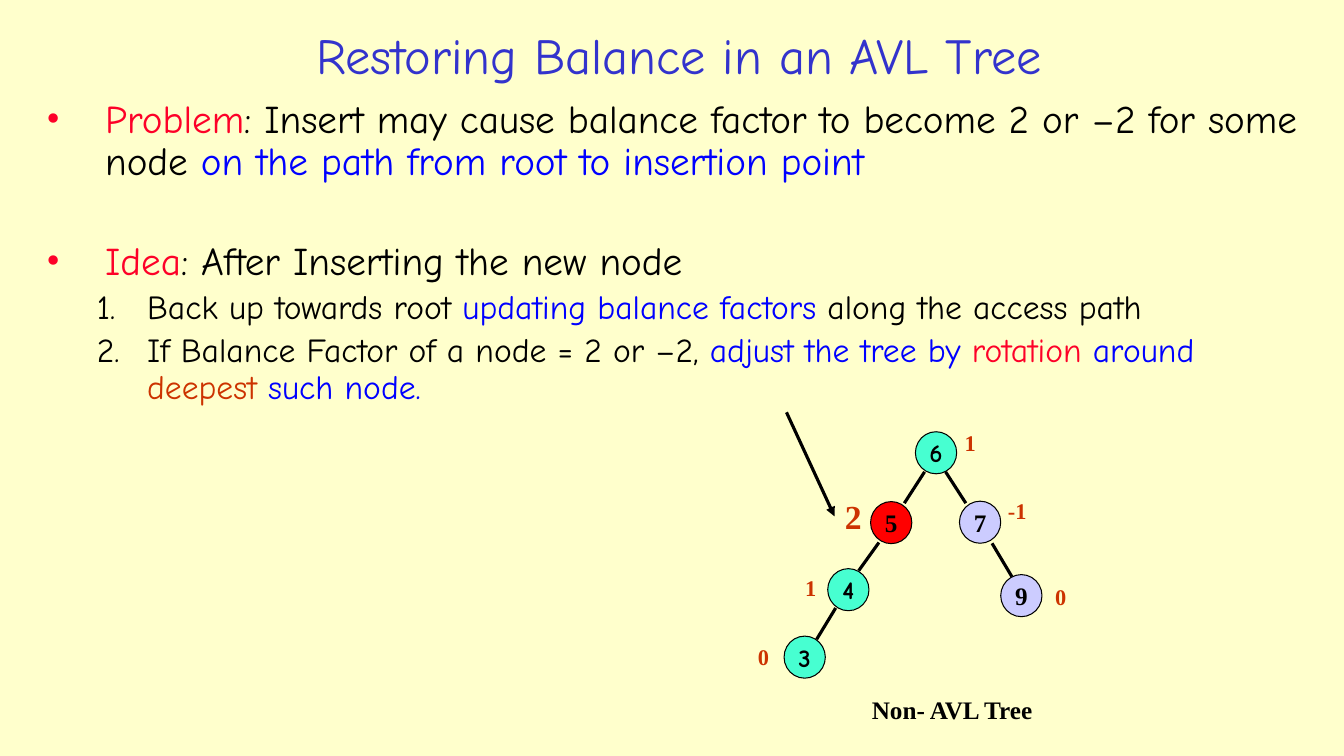
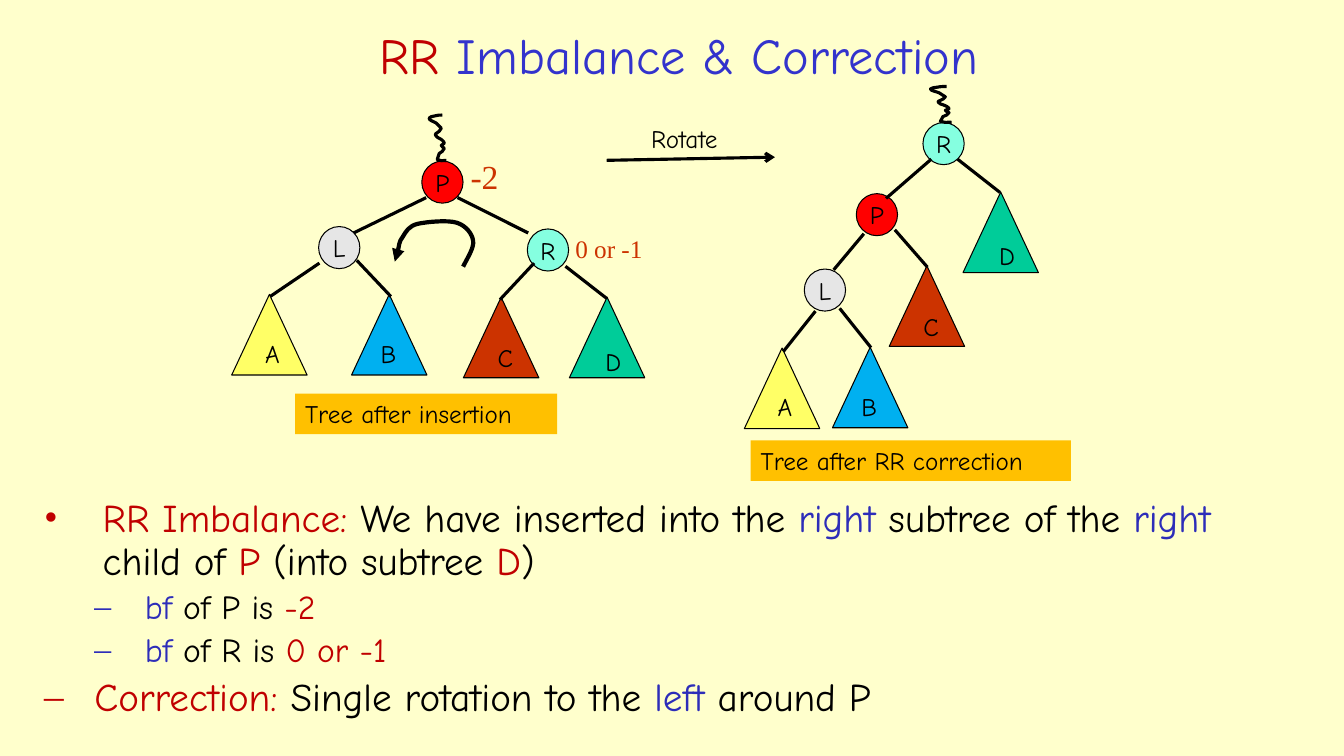
from lxml.etree import SubElement
from pptx import Presentation
from pptx.dml.color import RGBColor
from pptx.enum.shapes import MSO_CONNECTOR, MSO_SHAPE
from pptx.enum.text import MSO_ANCHOR, PP_ALIGN
from pptx.oxml.ns import qn
from pptx.util import Cm, Pt

HAND, SERIF = "Comic Neue", "Times New Roman"
CREAM, BLACK, TITLE_BLUE, AMBER = "FFFFCC", "000000", "3333CC", "FFC000"
RED, BLUE, RUST = "FD0128", "0000FF", "CC3300"
DARK_RED, DARK_BLUE = "C00000", "2D2DB9"
MINT, LILAC, ALERT = "47FFD1", "CCCCFF", "FF0000"

NODE_WIDTH, NODE_HEIGHT = 1.04, 1.06
SUBTREE_WIDTH, SUBTREE_HEIGHT = 1.9, 2.03
ROTATION_FILLS = {"P": ALERT, "L": "E6E6E6", "R": "85FFE0"}
SUBTREES = {
    "A": ("FFFF66", -0.36, 0.97),
    "B": ("00B0F0", -0.47, 0.99),
    "C": (RUST, -0.34, 1.02),
    "D": ("00CC99", -0.29, 1.1),
}
SQUIGGLE = [
    (14, 0), (12, 0), (9, 0), (6, 1), (4, 1), (2, 2), (1, 3),
    (0, 5), (7, 7), (8, 8), (11, 10), (11, 11), (13, 13),
    (12, 14), (12, 15), (11, 16), (8, 19), (5, 18), (9, 22),
    (11, 23), (13, 24), (14, 25), (15, 26), (16, 27), (16, 28),
    (16, 29), (13, 29), (13, 30), (13, 31), (15, 32), (16, 33),
    (15, 34), (15, 35), (14, 36), (13, 37), (12, 37), (11, 38),
    (10, 40), (10, 42), (9, 44), (15, 46), (12, 45), (18, 45),
]
ROTATION_ARC = [
    (68, 47), (73, 37), (79, 28), (78, 21), (77, 14), (71, 6), (62, 3),
    (53, 0), (32, 2), (23, 4), (14, 6), (11, 12), (8, 17),
    (4, 22), (4, 30), (2, 35), (1, 39), (0, 40), (0, 42),
]


def colour(code):
    return RGBColor.from_string(code)


def style_span(span, size, code, font=HAND, bold=False):
    span.font.size = Pt(size)
    span.font.name = font
    span.font.bold = bold
    span.font.color.rgb = colour(code)


def add_spans(para, parts, size):
    for text, code in parts:
        span = para.add_run()
        span.text = text
        style_span(span, size, code)


def add_box(page, left, top, width, height):
    box = page.shapes.add_textbox(Cm(left), Cm(top), Cm(width), Cm(height))
    box.text_frame.word_wrap = True
    return box


def add_label(page, left, top, text, size=18, code=BLACK, font=HAND,
              bold=False, width=None, fill=None):
    width = width or 0.7 + 0.02 * size * len(text)
    box = add_box(page, left, top, width, 1.02)
    if fill:
        box.fill.solid()
        box.fill.fore_color.rgb = colour(fill)
    box.text_frame.text = text
    style_span(box.text_frame.paragraphs[0].runs[0], size, code, font, bold)


def style_stroke(shape, width, arrow=None):
    shape.line.color.rgb = colour(BLACK)
    shape.line.width = Pt(width)
    if arrow:
        outline = shape.element.spPr.find(qn("a:ln"))
        SubElement(outline, qn("a:tailEnd"), type=arrow)


def add_line(page, left, top, start_x, start_y, end_x, end_y, arrow=None):
    line = page.shapes.add_connector(
        MSO_CONNECTOR.STRAIGHT, Cm(left + start_x), Cm(top + start_y),
        Cm(left + end_x), Cm(top + end_y))
    style_stroke(line, 2.25, arrow)
    SubElement(line.element.spPr, qn("a:effectLst"))


def add_filled(page, kind, left, top, width, height, fill):
    shape = page.shapes.add_shape(kind, Cm(left), Cm(top), Cm(width), Cm(height))
    shape.shadow.inherit = False
    shape.fill.solid()
    shape.fill.fore_color.rgb = colour(fill)
    style_stroke(shape, 0.75)
    return shape


def add_node(page, x, y, text, fill, font=HAND, bold=False):
    node = add_filled(page, MSO_SHAPE.OVAL, x - NODE_WIDTH / 2,
                      y - NODE_HEIGHT / 2, NODE_WIDTH, NODE_HEIGHT, fill)
    frame = node.text_frame
    frame.word_wrap = False
    frame.vertical_anchor = MSO_ANCHOR.MIDDLE
    frame.margin_left = frame.margin_right = 0
    frame.margin_top = frame.margin_bottom = 0
    frame.text = text
    frame.paragraphs[0].alignment = PP_ALIGN.CENTER
    style_span(frame.paragraphs[0].runs[0], 18, BLACK, font, bold)


def add_subtree(page, x, y, name):
    fill, label_left, label_top = SUBTREES[name]
    add_filled(page, MSO_SHAPE.ISOSCELES_TRIANGLE, x - SUBTREE_WIDTH / 2, y,
               SUBTREE_WIDTH, SUBTREE_HEIGHT, fill)
    add_label(page, x + label_left, y + label_top, name)


def add_curve(page, knots, left, top, width, height, stroke, arrow=None):
    wide = max(x for x, y in knots)
    high = max(y for x, y in knots)
    points = [(Cm(left + x * width / wide), Cm(top + y * height / high))
              for x, y in knots]
    builder = page.shapes.build_freeform(*points[0])
    builder.add_line_segments(points[1:], close=False)
    curve = builder.convert_to_shape()
    outline = next(curve.element.iter(qn("a:path")))
    segments = outline.findall(qn("a:lnTo"))
    for index in range(0, len(segments), 3):
        bend = SubElement(outline, qn("a:cubicBezTo"))
        for segment in segments[index:index + 3]:
            bend.append(segment[0])
            outline.remove(segment)
    curve.shadow.inherit = False
    curve.fill.background()
    style_stroke(curve, stroke, arrow)


def add_title(page, parts):
    frame = add_box(page, 5, 0.4, 24.23, 1.93).text_frame
    frame.vertical_anchor = MSO_ANCHOR.MIDDLE
    frame.paragraphs[0].alignment = PP_ALIGN.CENTER
    add_spans(frame.paragraphs[0], parts, 36)


def add_outline(page, left, top, width, height, items):
    frame = add_box(page, left, top, width, height).text_frame
    for index, (level, indent, hang, bullet, gap, parts) in enumerate(items):
        para = frame.add_paragraph() if index else frame.paragraphs[0]
        size = 24 if level else 28
        para.level = level
        para.line_spacing = 0.9
        para.space_before = Pt(gap or size * 0.2)
        add_spans(para, parts, size)
        properties = para._p.get_or_add_pPr()
        properties.set("marL", str(Cm(indent)))
        properties.set("indent", str(-Cm(hang)))
        tint = SubElement(properties, qn("a:buClr"))
        SubElement(tint, qn("a:srgbClr"), val=parts[0][1])
        if bullet == "1.":
            SubElement(properties, qn("a:buAutoNum"), type="arabicPeriod")
        else:
            SubElement(properties, qn("a:buFont"), typeface=SERIF)
            SubElement(properties, qn("a:buChar"), char=bullet)


def point_item(parts, gap=None):
    return 0, 1.48, 1.48, "•", gap, parts


def sub_item(bullet, parts):
    return 1, 2.54, 1.27, bullet, None, parts


def unbalanced_tree(page, left, top):
    nodes = {
        "6": (4.74, 1.02, MINT, HAND, "1", 5.21, 0.3, 16),
        "5": (3.61, 2.78, ALERT, SERIF, "2", 2.19, 1.98, 24),
        "4": (2.53, 4.47, MINT, HAND, "1", 1.19, 3.96, 16),
        "7": (5.85, 2.77, LILAC, SERIF, "-1", 6.3, 2.01, 16),
        "9": (6.89, 4.62, LILAC, SERIF, "0", 7.49, 4.17, 16),
        "3": (1.43, 6.17, MINT, HAND, "0", 0, 5.69, 16),
    }
    edges = [
        (4.45, 1.5, 3.94, 2.29), (4.98, 1.5, 5.49, 2.29), (6.15, 3.3, 6.65, 4.14),
        (3.3, 3.28, 2.79, 3.99), (2.21, 4.93, 1.73, 5.72),
    ]
    for name, (x, y, fill, font, factor, label_x, label_y, size) in nodes.items():
        add_node(page, left + x, top + y, name, fill, font, True)
        add_label(page, left + label_x, top + label_y, factor, size, RUST, SERIF, True)
    for edge in edges:
        add_line(page, left, top, *edge)
    add_line(page, left, top, 0.97, 0, 2.18, 2.62, "triangle")
    add_label(page, left + 2.87, top + 6.99, "Non- AVL Tree", font=SERIF,
              bold=True, width=4.95)


def rotation_tree(page, left, top, places, edges, squiggle, caption):
    for name, (x, y) in places.items():
        if name in SUBTREES:
            add_subtree(page, left + x, top + y, name)
        else:
            add_node(page, left + x, top + y, name, ROTATION_FILLS[name])
    for edge in edges:
        add_line(page, left, top, *edge)
    x, width, height = squiggle
    add_curve(page, SQUIGGLE, left + x, top, width, height, 2.25)
    text, x, y, width = caption
    add_label(page, left + x, top + y, text, width=width, fill=AMBER)


def tree_after_insertion(page, left, top):
    places = {"P": (5.31, 1.69), "L": (2.71, 3.34), "R": (7.97, 3.4),
              "A": (0.95, 4.52), "B": (3.97, 4.52), "C": (6.79, 4.59), "D": (9.46, 4.59)}
    edges = [
        (4.9, 2.08, 3.07, 2.97), (5.69, 2.08, 7.47, 2.97), (8.41, 3.81, 9.45, 4.62),
        (2.21, 3.73, 0.97, 4.57), (3.15, 3.66, 4.01, 4.57), (7.62, 3.73, 6.76, 4.65),
    ]
    rotation_tree(page, left, top, places, edges, (4.95, 0.46, 1.17),
                  ("Tree after insertion", 1.6, 7.02, 6.6))
    add_label(page, left + 5.77, top + 0.91, "-2", 24, RUST, SERIF)
    add_label(page, left + 8.41, top + 2.86, "0 or -1", 18, RUST, SERIF)
    add_curve(page, ROTATION_ARC, left + 4.11, top + 2.64, 2, 1.18, 3, "triangle")


def tree_after_correction(page, left, top):
    places = {"R": (5.01, 1.44), "P": (3.33, 3.23), "L": (2.02, 5.13),
              "D": (6.45, 2.66), "C": (4.59, 4.52), "A": (0.94, 6.59), "B": (3.16, 6.57)}
    edges = [
        (4.7, 1.83, 3.56, 2.82), (5.36, 1.83, 6.43, 2.67), (3, 3.71, 2.24, 4.62),
        (3.78, 3.61, 4.6, 4.55), (1.78, 5.66, 0.97, 6.68), (2.39, 5.59, 3.18, 6.58),
    ]
    rotation_tree(page, left, top, places, edges, (4.65, 0.56, 0.92),
                  ("Tree after RR correction", 0.15, 8.92, 8.07))


def rotate_arrow(page, left, top):
    add_line(page, left, top, 0, 1.07, 4.24, 0.99, "arrow")
    add_label(page, left + 0.87, top + 0.02, "Rotate")


def restoring_page(page):
    add_title(page, [("Restoring Balance in an AVL Tree", TITLE_BLUE)])
    add_outline(page, 0.92, 2.38, 32.08, 8.51, [
        point_item([
            ("Problem", RED),
            (": Insert may cause balance factor to become 2 or –2 for some node ", BLACK),
            ("on the path from root to insertion point", BLUE)]),
        point_item([("Idea", RED), (": After Inserting the new node", BLACK)], 41.2),
        sub_item("1.", [
            ("Back up towards root ", BLACK), ("updating balance factors ", BLUE),
            ("along the access path", BLACK)]),
        sub_item("1.", [
            ("If Balance Factor of a node = 2 or –2, ", BLACK),
            ("adjust the tree by ", BLUE), ("rotation ", RED), ("around ", BLUE),
            ("deepest", RUST), (" such node.", BLUE)]),
    ])
    unbalanced_tree(page, 18.85, 10.39)


def rotation_page(page):
    add_title(page, [("RR", DARK_RED), (" Imbalance & Correction", TITLE_BLUE)])
    tree_after_insertion(page, 5.84, 2.9)
    rotate_arrow(page, 15.29, 2.97)
    tree_after_correction(page, 18.77, 2.18)
    add_outline(page, 0.86, 12.45, 32.03, 6.43, [
        point_item([
            ("RR Imbalance: ", DARK_RED), ("We have inserted into the ", BLACK),
            ("right ", DARK_BLUE), ("subtree of the ", BLACK), ("right", DARK_BLUE),
            (" child of ", BLACK), ("P", DARK_RED), (" (into subtree ", BLACK),
            ("D", DARK_RED), (")", BLACK)]),
        sub_item("–", [("bf", DARK_BLUE), (" of P is ", BLACK), ("-2", DARK_RED)]),
        sub_item("–", [("bf", DARK_BLUE), (" of R is ", BLACK), ("0 or -1", DARK_RED)]),
        (0, 1.27, 1.27, "–", None, [
            ("Correction: ", DARK_RED), ("Single rotation to the ", BLACK),
            ("left", DARK_BLUE), (" around P", BLACK)]),
    ])


def main():
    deck = Presentation()
    deck.slide_width, deck.slide_height = Cm(33.87), Cm(19.05)
    backdrop = deck.slide_master.background.fill
    backdrop.solid()
    backdrop.fore_color.rgb = colour(CREAM)
    for fill_page in (restoring_page, rotation_page):
        fill_page(deck.slides.add_slide(deck.slide_layouts[6]))
    deck.save("out.pptx")


if __name__ == "__main__":
    main()
